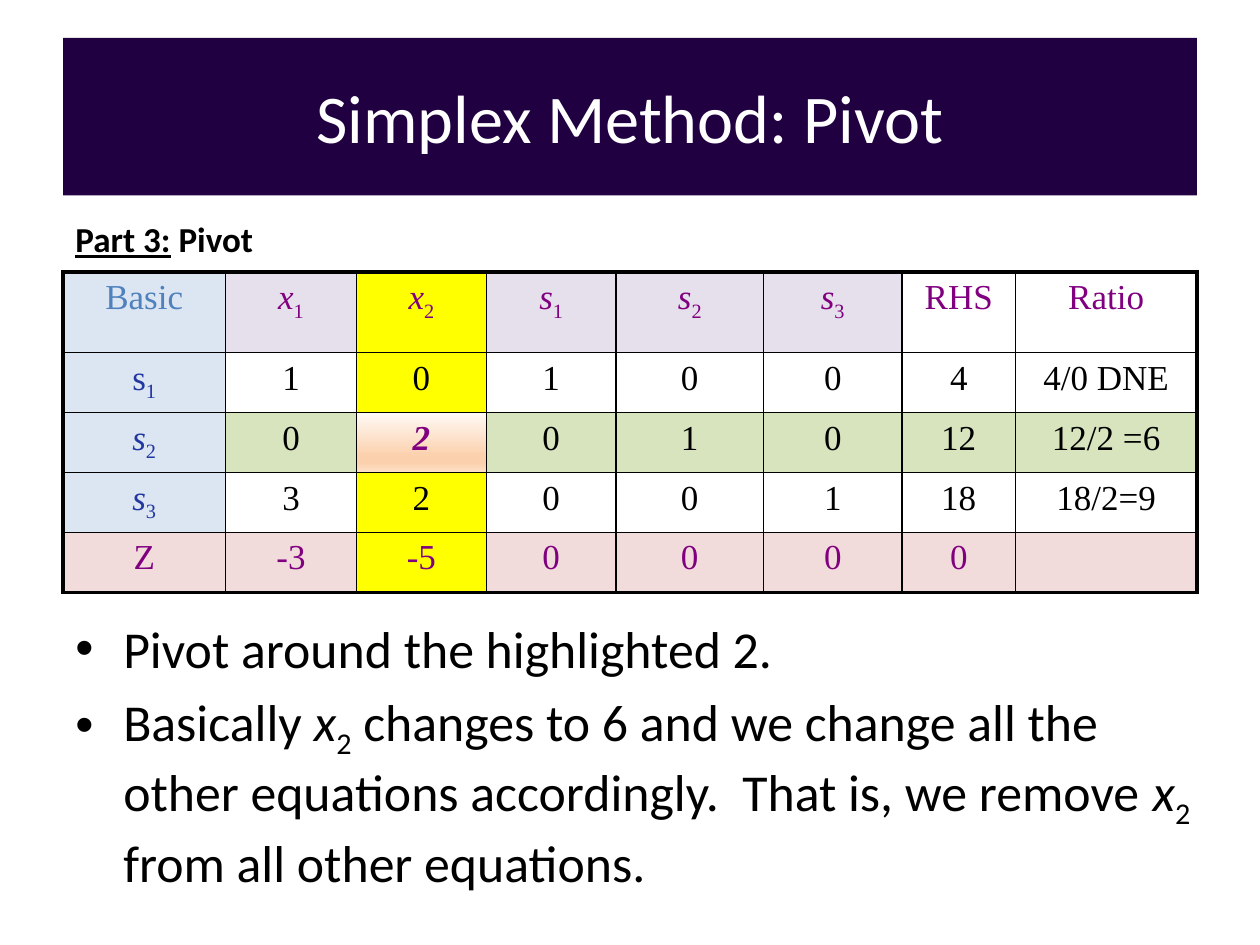
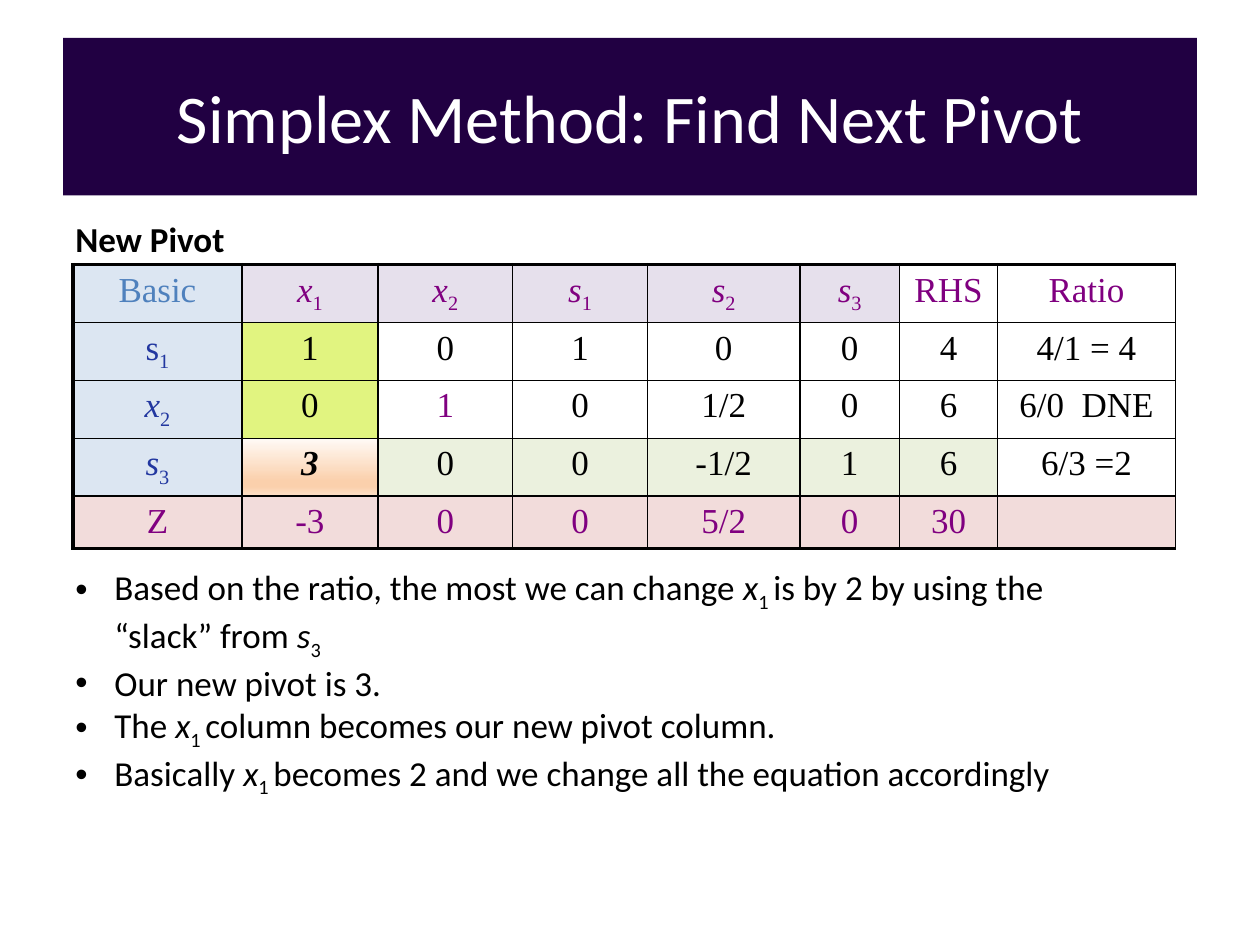
from lxml.etree import SubElement
from pptx import Presentation
from pptx.dml.color import RGBColor
from pptx.enum.text import MSO_ANCHOR, MSO_AUTO_SIZE, PP_ALIGN
from pptx.oxml.ns import qn
from pptx.util import Inches, Pt

WIDTH, HEIGHT = Inches(10), Inches(7.5)
TITLE_ONLY = 5
MARGIN = 0.05
SANS, SERIF = "Calibri", "Times New Roman"
THIN, THICK = Pt(1), Pt(2.25)

COLORS = {
    "band": "210042", "white": "FFFFFF", "black": "000000",
    "basic": "4F81BD", "variable": "800080", "basis": "2237A0",
    "basis_fill": "DCE6F2", "header_fill": "E6E0EC", "objective_fill": "F2DCDB",
    "yellow": "FFFF00", "lime": "E1F480", "green": "D7E4BD", "pale_green": "EBF1DE",
}
PIVOT_STOPS = [(0, "FFFAF6"), (74, "FBD0AC"), (83, "FBD0AC"), (100, "FDE0C7")]
HEADINGS = ["Basic", "~x|_1", "~x|_2", "~s|_1", "~s|_2", "~s|_3", "RHS", "Ratio"]


def across(share):
    return round(WIDTH * share)


def down(share):
    return round(HEIGHT * share)


def rgb(name):
    return RGBColor.from_string(COLORS[name])


def write(frame, *paragraphs, size=20, font=SANS, color="black", bold=False,
          align=PP_ALIGN.LEFT, bullet_indent=None, gap=0):
    """Runs are split by |; a run may start with ~ italic, _ subscript, * bold, ^ underline."""
    frame.word_wrap = True
    for index, content in enumerate(paragraphs):
        paragraph = frame.add_paragraph() if index else frame.paragraphs[0]
        paragraph.alignment = align
        if bullet_indent:
            properties = paragraph._p.get_or_add_pPr()
            properties.set("marL", str(bullet_indent))
            properties.set("indent", str(-bullet_indent))
            SubElement(properties, qn("a:buFont"), typeface="Arial")
            SubElement(properties, qn("a:buChar"), char="•")
        if index and gap:
            paragraph.space_before = Pt(gap)
        for part in content.split("|"):
            words = part.lstrip("~_*^")
            marks = part[:len(part) - len(words)]
            run = paragraph.add_run()
            run.text = words
            run.font.name, run.font.size = font, Pt(size)
            run.font.color.rgb = rgb(color)
            run.font.bold = bold or "*" in marks
            run.font.italic = "~" in marks
            run.font.underline = "^" in marks
            if "_" in marks:
                run._r.get_or_add_rPr().set("baseline", "-25000")


def add_titled_slide(deck, title):
    slide = deck.slides.add_slide(deck.slide_layouts[TITLE_ONLY])
    band = slide.shapes.title
    band.left, band.top = across(MARGIN), down(0.04)
    band.width, band.height = across(1 - 2 * MARGIN), down(1 / 6)
    band.fill.solid()
    band.fill.fore_color.rgb = rgb("band")
    band.text_frame.auto_size = MSO_AUTO_SIZE.NONE
    band.text_frame.vertical_anchor = MSO_ANCHOR.MIDDLE
    write(band.text_frame, title, size=39, color="white", align=PP_ALIGN.CENTER)
    return slide


def add_text(slide, top, width, height, *paragraphs, **text_format):
    box = slide.shapes.add_textbox(across(MARGIN), down(top), across(width), down(height))
    write(box.text_frame, *paragraphs, **text_format)


def set_borders(cell, **widths):
    properties = cell._tc.get_or_add_tcPr()
    for side in "LRTB":
        line = SubElement(properties, qn(f"a:ln{side}"), w=str(widths.get(side, THIN)))
        fill = SubElement(line, qn("a:solidFill"))
        SubElement(fill, qn("a:srgbClr"), val=COLORS["black"])


def fill_pivot(cell):
    gradient = SubElement(cell._tc.get_or_add_tcPr(), qn("a:gradFill"), rotWithShape="1")
    stops = SubElement(gradient, qn("a:gsLst"))
    for percent, color in PIVOT_STOPS:
        stop = SubElement(stops, qn("a:gs"), pos=str(percent * 1000))
        SubElement(stop, qn("a:srgbClr"), val=color)
    SubElement(gradient, qn("a:lin"), ang="5400000", scaled="0")


def cell_style(row, column, last_row):
    """Give the usual fill and text colour of a tableau cell."""
    if row == last_row:
        return "objective_fill", "variable"
    if column == 0:
        return "basis_fill", "basis" if row else "basic"
    if row == 0:
        return "header_fill" if column < 6 else None, "variable"
    return None, "black"


def add_tableau(slide, left, top, columns, rows, body, pivot, highlights,
                purple=(), right_edge=THIN):
    """Draw a simplex tableau; highlights maps (row, column) to a fill that replaces the usual."""
    values = [HEADINGS, *body]
    table = slide.shapes.add_table(len(values), len(HEADINGS), across(left), down(top),
                                   across(sum(columns)), down(sum(rows))).table
    table.first_row = table.horz_banding = False
    for column, share in zip(table.columns, columns):
        column.width = across(share)
    for row, share in zip(table.rows, rows):
        row.height = down(share)
    last_row, last_column = len(values) - 1, len(HEADINGS) - 1
    for r, line in enumerate(values):
        for c, value in enumerate(line):
            cell = table.cell(r, c)
            cell.margin_bottom = Inches(0.03)
            set_borders(cell, L=THIN if c else THICK, T=THIN if r else THICK,
                        R=right_edge if c == last_column else THIN,
                        B=THICK if r == last_row else THIN)
            fill, color = cell_style(r, c, last_row)
            fill = highlights.get((r, c), fill)
            if (r, c) == pivot:
                fill_pivot(cell)
            elif fill:
                cell.fill.solid()
                cell.fill.fore_color.rgb = rgb(fill)
            else:
                cell.fill.background()
            if value:
                write(cell.text_frame, value, font=SERIF, align=PP_ALIGN.CENTER,
                      color="variable" if (r, c) in purple else color)


def build_pivot_slide(deck):
    slide = add_titled_slide(deck, "Simplex Method: Pivot")
    add_text(slide, 0.224, 0.69, 0.06, "^Part 3:| Pivot", bold=True)
    pivot_row = {(2, c): "green" for c in range(1, 8)}
    pivot_column = {(r, 2): "yellow" for r in range(5)}
    add_tableau(
        slide, MARGIN, 0.288,
        columns=[0.129, 0.104, 0.103, 0.103, 0.117, 0.11, 0.09, 0.144],
        rows=[0.085] + [0.0635] * 4,
        body=[
            ["s|_1", "1", "0", "1", "0", "0", "4", "4/0 DNE"],
            ["~s|_2", "0", "~*2", "0", "1", "0", "12", "12/2 =6"],
            ["~s|_3", "3", "2", "0", "0", "1", "18", "18/2=9"],
            ["Z", "-3", "-5", "0", "0", "0", "0", ""],
        ],
        pivot=(2, 2), highlights=pivot_row | pivot_column, purple={(2, 2)},
        right_edge=THICK)
    add_text(slide, 0.646, 0.919, 0.25,
             "Pivot around the highlighted 2.",
             "Basically |~x|_2| changes to 6 and we change all the other equations "
             "accordingly.  That is, we remove |~x|_2 |from all other equations.",
             size=29.6, bullet_indent=Inches(0.38), gap=6)


def build_next_pivot_slide(deck):
    slide = add_titled_slide(deck, "Simplex Method: Find Next Pivot")
    add_text(slide, 0.224, 0.9, 0.06, "New Pivot", bold=True)
    pivot_row = {(3, c): "pale_green" for c in range(2, 7)}
    pivot_column = {(r, 1): "lime" for r in (1, 2)}
    add_tableau(
        slide, 0.058, 0.28,
        columns=[0.134, 0.108, 0.107, 0.107, 0.121, 0.079, 0.078, 0.141],
        rows=[0.0603] * 4 + [0.054],
        body=[
            ["s|_1", "1", "0", "1", "0", "0", "4", "4/1 = 4"],
            ["~x|_2", "0", "1", "0", "1/2", "0", "6", "6/0  DNE"],
            ["~s|_3", "~*3", "0", "0", "-1/2", "1", "6", "6/3 =2"],
            ["Z", "-3", "0", "0", "5/2", "0", "30", ""],
        ],
        pivot=(3, 1), highlights=pivot_row | pivot_column, purple={(2, 2)})
    add_text(slide, 0.592, 0.846, 0.237,
             "Based on the ratio, the most we can change |~x|_1 |is by 2 by using the "
             "“slack” from |~s|_3",
             "Our new pivot is 3.",
             "The |~x|_1 |column becomes our new pivot column.",
             "Basically |~x|_1 |becomes 2 and we change all the equation accordingly",
             bullet_indent=Inches(0.31))


def main():
    deck = Presentation()
    deck.slide_width, deck.slide_height = WIDTH, HEIGHT
    build_pivot_slide(deck)
    build_next_pivot_slide(deck)
    deck.save("out.pptx")


if __name__ == "__main__":
    main()
